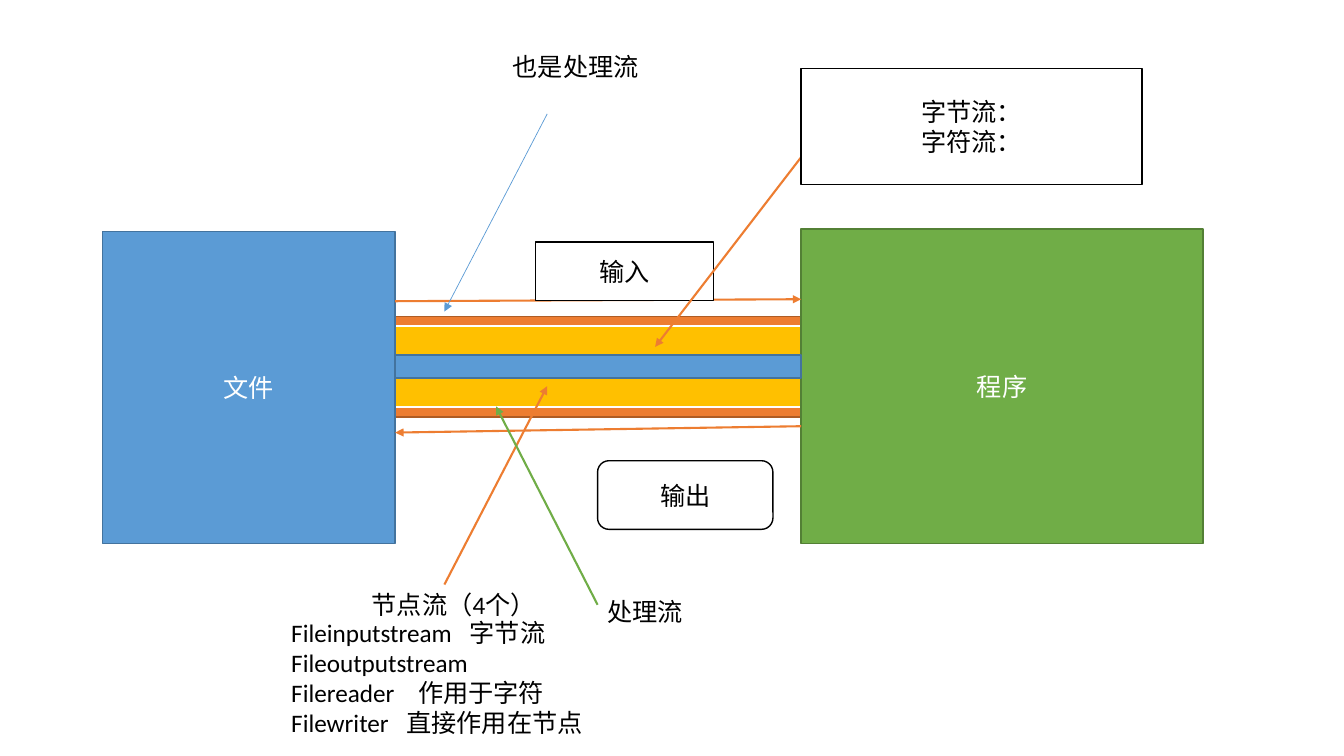
import pptx
import pptx.util
import pptx.dml.color
import pptx.enum.shapes
import pptx.enum.text
import pptx.oxml.ns
import lxml.etree

Cm = pptx.util.Cm
Pt = pptx.util.Pt
RGBColor = pptx.dml.color.RGBColor
KIND = pptx.enum.shapes.MSO_SHAPE
ALIGN = pptx.enum.text.PP_ALIGN
ANCHOR = pptx.enum.text.MSO_ANCHOR
qn = pptx.oxml.ns.qn

WHITE = RGBColor(0xFF, 0xFF, 0xFF)
BLACK = RGBColor(0x00, 0x00, 0x00)
BLUE = RGBColor(0x5B, 0x9B, 0xD5)
NAVY = RGBColor(0x43, 0x73, 0x9E)
GREEN = RGBColor(0x70, 0xAD, 0x47)
MOSS = RGBColor(0x53, 0x80, 0x35)
ORANGE = RGBColor(0xED, 0x7D, 0x31)
RUST = RGBColor(0xAF, 0x5C, 0x24)
GOLD = RGBColor(0xFF, 0xC0, 0x00)

# All lengths are in centimetres; the pipe joins file and program.
LEFT, RIGHT, MID = 9.96, 20.19, 9.24

# style: fill, line, line width in points, text colour
STYLES = {
    "outer": (ORANGE, RUST, 1, WHITE),
    "inner": (GOLD, WHITE, 1.5, WHITE),
    "blue": (BLUE, NAVY, 1, WHITE),
    "green": (GREEN, MOSS, 1, WHITE),
    "label": (WHITE, BLACK, 1, BLACK),
}


def band(style, high):
    """Describe one layer of the pipe, centred on its axis."""
    return ("box", style, (LEFT, MID - high / 2, RIGHT - LEFT, high), [])


# Parts from back to front. A note line is (text, tab stop or None).
PARTS = [
    band("outer", 2.54),
    band("inner", 2.03),
    ("box", "blue", (LEFT - 7.37, 5.84, 7.37, 7.85), ["文件"]),
    ("box", "green", (RIGHT, 5.77, 10.13, 7.92), ["程序"]),
    ("arrow", ORANGE, 1.5, (LEFT, 7.59, RIGHT, 7.54)),
    ("arrow", ORANGE, 1.5, (RIGHT, 10.74, LEFT, 10.9)),
    ("box", "label", (13.49, 6.1, 4.5, 1.47), ["输入"]),
    ("round", "label", (15.06, 11.61, 4.42, 1.73), ["输出"]),
    band("blue", 0.58),
    ("arrow", ORANGE, 1.5, (RIGHT, 3.96, 16.51, 8.74)),
    ("box", "label", (RIGHT, 1.73, 8.59, 2.92), ["字节流：", "字符流："]),
    ("arrow", ORANGE, 1.5, (11.2, 14.73, 13.79, 9.73)),
    ("note", (9.12, 14.73, 5.21, 1.02), [("节点流（4个）", None)]),
    ("arrow", GREEN, 1.5, (15.06, 15.24, 12.5, 10.24)),
    ("note", (15.06, 14.91, 7.75, 1.02), [("处理流", None)]),
    ("arrow", BLUE, 0.5, (13.79, 2.87, 11.2, 7.85)),
    ("note", (12.67, 1.17, 6.02, 1.02), [("也是处理流", None)]),
    ("note", (7.09, 15.42, 11.61, 3.33), [
        ("Fileinputstream\t字节流", 4.5),
        ("Fileoutputstream", None),
        ("Filereader\t作用于字符", 3.2),
        ("Filewriter\t直接作用在节点", 2.9),
    ]),
]


def apply(item, form):
    """Set each attribute named in the dict."""
    for name, value in form.items():
        setattr(item, name, value)


def write(frame, lines, color, align):
    """Write one paragraph per line and return the paragraphs."""
    frame.text = "\n".join(lines)
    for para in frame.paragraphs:
        para.alignment = align
        for run in para.runs:
            apply(run.font, {"size": Pt(18), "name": "Calibri"})
            run.font.color.rgb = color
    return frame.paragraphs


def add_box(slide, kind, style, place, lines):
    """Add a filled shape with centred text."""
    fill, edge, width, color = STYLES[style]
    shape = slide.shapes.add_shape(kind, *map(Cm, place))
    shape.shadow.inherit = False
    shape.fill.solid()
    shape.fill.fore_color.rgb = fill
    shape.line.color.rgb = edge
    shape.line.width = Pt(width)
    apply(shape.text_frame, {"word_wrap": True,
                             "vertical_anchor": ANCHOR.MIDDLE})
    if lines:
        write(shape.text_frame, lines, color, ALIGN.CENTER)


def add_note(slide, place, lines):
    """Add a plain text box, with a tab stop where a line has one."""
    frame = slide.shapes.add_textbox(*map(Cm, place)).text_frame
    frame.word_wrap = True
    paras = write(frame, [text for text, _ in lines], BLACK, ALIGN.LEFT)
    for para, (_, stop) in zip(paras, lines):
        if stop:
            tabs = lxml.etree.SubElement(
                para._p.get_or_add_pPr(), qn("a:tabLst"))
            lxml.etree.SubElement(
                tabs, qn("a:tab"), pos=str(Cm(stop)), algn="l")


def add_arrow(slide, color, width, ends):
    """Add a straight line with a triangle at its end."""
    kind = pptx.enum.shapes.MSO_CONNECTOR.STRAIGHT
    link = slide.shapes.add_connector(kind, *map(Cm, ends))
    link.line.color.rgb = color
    link.line.width = Pt(width)
    lxml.etree.SubElement(
        link.line._get_or_add_ln(), qn("a:tailEnd"), type="triangle")
    lxml.etree.SubElement(link._element.spPr, qn("a:effectLst"))


def build():
    """Draw all parts and save the deck."""
    deck = pptx.Presentation()
    apply(deck, {"slide_width": Cm(33.87), "slide_height": Cm(19.05)})
    slide = deck.slides.add_slide(deck.slide_layouts[6])
    kinds = {"box": KIND.RECTANGLE, "round": KIND.ROUNDED_RECTANGLE}
    for kind, *rest in PARTS:
        if kind == "arrow":
            add_arrow(slide, *rest)
        elif kind == "note":
            add_note(slide, *rest)
        else:
            add_box(slide, kinds[kind], *rest)
    deck.save("out.pptx")


build()
